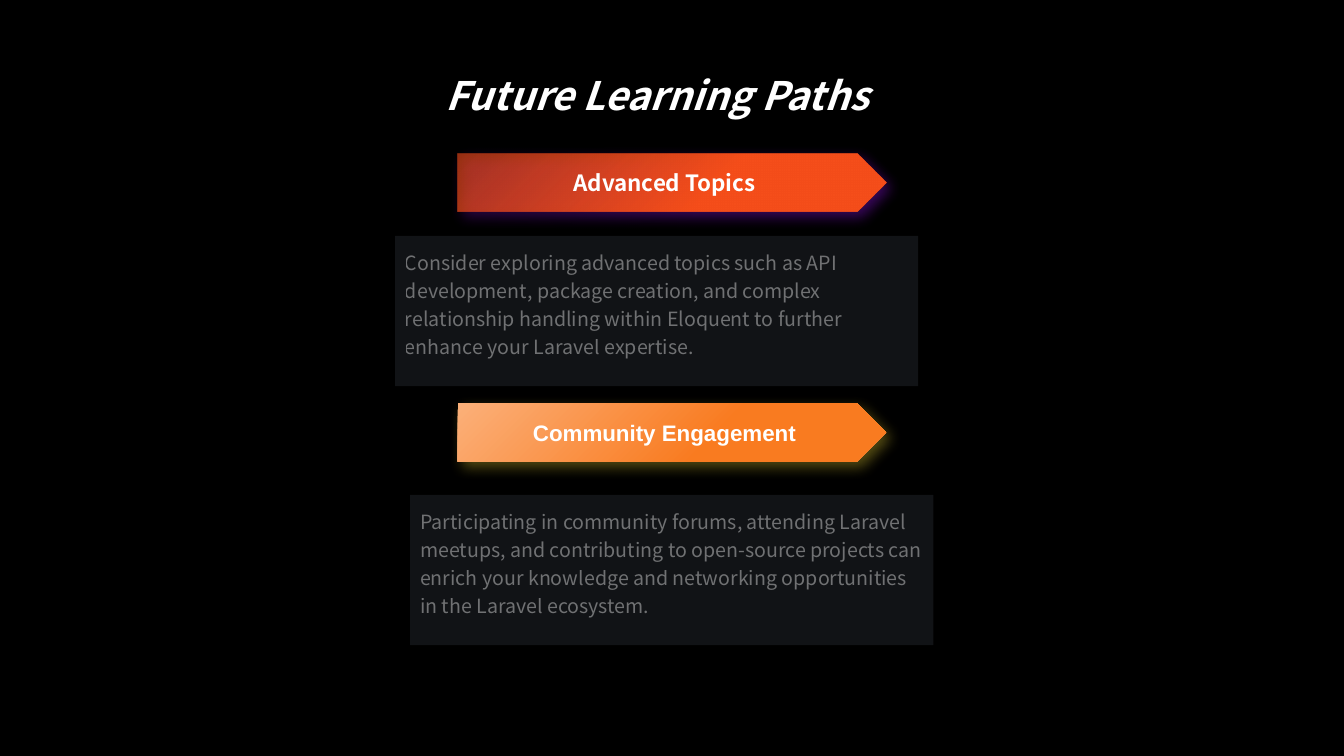
from pptx import Presentation
from pptx.util import Pt
from pptx.dml.color import RGBColor as RGB
from pptx.enum.shapes import MSO_SHAPE as SHAPE
from pptx.enum.text import PP_ALIGN as ALIGN, MSO_ANCHOR as ANCHOR
from pptx.oxml.ns import qn
from lxml.etree import SubElement as add_sub

HEX = {
    "back": "000000", "white": "FFFFFF", "panel": "778495",
    "red": "F54E1A", "violet": "9112E7",
    "peach": "FBB079", "orange": "F97B20", "gold": "D3BE30",
}
NOTO = "Noto Sans CJK SC"


def color(name):
    return RGB.from_string(HEX[name])


def fade(node, share):
    """Set the opacity, in percent, of the first colour in the node."""
    tone = next(node.iter(qn("a:srgbClr")))
    add_sub(tone, qn("a:alpha"), val=str(share * 1000))


def write(shape, text, size, font, align, anchor, insets, lead=None):
    frame = shape.text_frame
    frame.text = text
    frame.word_wrap = True
    frame.vertical_anchor = anchor
    (frame.margin_left, frame.margin_top,
     frame.margin_right, frame.margin_bottom) = map(Pt, insets)
    para = frame.paragraphs[0]
    para.alignment = align
    if lead:
        para.line_spacing = lead
    run = para.runs[0]
    run.font.size = Pt(size)
    run.font.name = font
    run.font.color.rgb = color("white")
    add_sub(run.font._element, qn("a:ea"), typeface=font)
    return run


def add_form(slide, kind, box):
    shape = slide.shapes.add_shape(kind, *map(Pt, box))
    shape.shadow.inherit = False
    shape.line.fill.background()
    return shape


def add_title(slide, text, box):
    title = slide.shapes.add_textbox(*map(Pt, box))
    run = write(title, text, 28, NOTO, ALIGN.CENTER, ANCHOR.BOTTOM,
                (7.2, 3.6, 7.2, 3.6), 0.9)
    run.font.bold = run.font.italic = True


def add_panel(slide, text, left, top):
    panel = add_form(slide, SHAPE.RECTANGLE, (left, top, 373.7, 107.3))
    panel.fill.solid()
    panel.fill.fore_color.rgb = color("panel")
    fade(panel.fill._xPr, 15)
    run = write(panel, text, 14, NOTO, ALIGN.LEFT, ANCHOR.TOP,
                (7.2, 7.2, 7.2, 3.6), 1.2)
    fade(run._r, 40)


def add_glow(shape, name):
    effects = shape._element.spPr.find(qn("a:effectLst"))
    glow = add_sub(effects, qn("a:outerShdw"), blurRad=str(Pt(10)),
                   dist=str(Pt(5)), dir=str(45 * 60000),
                   algn="tl", rotWithShape="0")
    add_sub(glow, qn("a:srgbClr"), val=HEX[name])
    fade(glow, 40)


def add_arrow(slide, text, top, font, tones, share, glow):
    arrow = add_form(slide, SHAPE.PENTAGON, (326.9, top, 306, 41.8))
    fill = arrow.fill
    fill.gradient()
    fill.gradient_angle = 315
    for stop, tone, place in zip(fill.gradient_stops, tones, (0, 0.6)):
        stop.color.rgb = color(tone)
        stop.position = place
    if share < 100:
        fade(fill._xPr, share)
    add_glow(arrow, glow)
    run = write(arrow, text, 16, font, ALIGN.CENTER, ANCHOR.MIDDLE, [8.6] * 4)
    run.font.bold = True


def main():
    deck = Presentation()
    deck.slide_width, deck.slide_height = Pt(960), Pt(540)
    slide = deck.slides.add_slide(deck.slide_layouts[6])
    back = slide.background.fill
    back.solid()
    back.fore_color.rgb = color("back")

    # Advanced topics
    add_panel(slide, "Consider exploring advanced topics such as API "
              "development, package creation, and complex relationship "
              "handling within Eloquent to further enhance your Laravel "
              "expertise.", 282.2, 168.5)
    add_arrow(slide, "Advanced Topics", 109.6, NOTO,
              ("red", "red"), 60, "violet")

    # Community engagement
    add_panel(slide, "Participating in community forums, attending Laravel "
              "meetups, and contributing to open-source projects can enrich "
              "your knowledge and networking opportunities in the Laravel "
              "ecosystem.", 293, 353.5)
    add_arrow(slide, "Community Engagement", 288, "Arial",
              ("peach", "orange"), 100, "gold")

    # Heading
    add_title(slide, "Future Learning Paths", (255.6, 46.8, 427.7, 41.8))
    deck.save("out.pptx")


if __name__ == "__main__":
    main()
